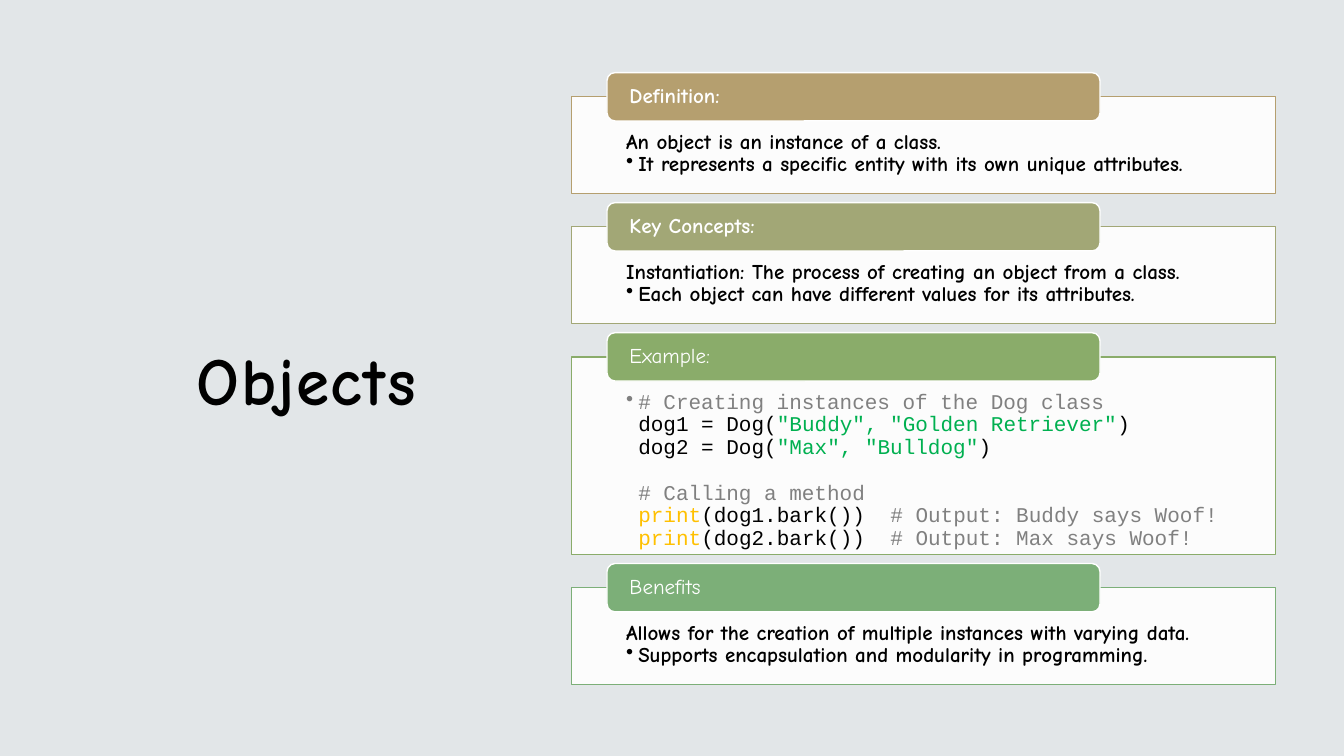
from copy import deepcopy

from lxml import etree
from pptx import Presentation
from pptx import util as u
from pptx.dml.color import RGBColor
from pptx.enum import shapes, text
from pptx.oxml import ns

COLORS = {
    "background": "E2E6E8", "white": "FFFFFF", "black": "000000",
    "comment": "808080", "string": "00B050", "keyword": "FFC000",
    "definition": "B59F6F", "concepts": "A2A776",
    "example": "8AAC6A", "benefits": "7CAF78",
}
PROSE = {"name": "Comic Neue", "size": u.Pt(15), "bold": True}
LIGHT = {**PROSE, "bold": False}
CODE = {"name": "Courier New", "size": u.Pt(15), "bold": False}
TITLE = {**PROSE, "size": u.Pt(48)}
BOX_LEFT, BOX_WIDTH, BOX_GAP = 5.67, 6.98, 0.33
TAG_LEFT, TAG_WIDTH, TAG_HEIGHT, TAG_RISE = 6.02, 4.89, 0.48, 0.24


def color(name):
    return RGBColor.from_string(COLORS[name])


def set_attributes(target, values):
    for name, value in values.items():
        setattr(target, name, value)


def set_frame(tf, margins, anchor):
    sides = ("margin_left", "margin_top", "margin_right", "margin_bottom")
    set_attributes(tf, dict(zip(sides, map(u.Inches, margins))))
    set_attributes(tf, {"word_wrap": True, "vertical_anchor": anchor})


def add_run(p, words, font, tint):
    r = p.add_run()
    r.text = words
    set_attributes(r.font, font)
    r.font.color.rgb = color(tint)
    return r


def add_lines(p, lines, font):
    for number, line in enumerate(lines):
        if number:
            p.add_line_break()
            p._p[-1].append(deepcopy(r._r.rPr))
        for words, tint in line:
            r = add_run(p, words, font, tint)


def add_bullet(p):
    pPr = p._p.get_or_add_pPr()
    pPr.set("marL", str(u.Inches(0.12)))
    pPr.set("indent", str(u.Inches(-0.12)))
    etree.SubElement(pPr, ns.qn("a:buChar")).set("char", "•")


def add_block(s, kind, place, fill, line):
    sp = s.shapes.add_shape(kind, *map(u.Inches, place))
    sp.shadow.inherit = False
    sp.fill.solid()
    sp.fill.fore_color.rgb = color(fill)
    sp.line.color.rgb = color(line)
    sp.line.width = u.Pt(1)
    return sp


def add_box(s, top, height, tint, paragraphs, font):
    sp = add_block(s, shapes.MSO_SHAPE.RECTANGLE,
                   (BOX_LEFT, top, BOX_WIDTH, height), "white", tint)
    fill = sp._element.spPr.find(ns.qn("a:solidFill"))
    etree.SubElement(fill[0], ns.qn("a:alpha")).set("val", "90000")
    tf = sp.text_frame
    set_frame(tf, (0.54, 0.34, 0.54, 0.12), text.MSO_ANCHOR.TOP)
    for number, lines in enumerate(paragraphs):
        p = tf.add_paragraph() if number else tf.paragraphs[0]
        set_attributes(p, {"alignment": text.PP_ALIGN.LEFT,
                           "line_spacing": 0.9, "space_after": u.Pt(0)})
        if number == len(paragraphs) - 1:
            add_bullet(p)
        add_lines(p, lines, font)


def add_tag(s, top, tint, words, font):
    sp = add_block(s, shapes.MSO_SHAPE.ROUNDED_RECTANGLE,
                   (TAG_LEFT, top, TAG_WIDTH, TAG_HEIGHT), tint, "white")
    set_frame(sp.text_frame, (0.2, 0, 0.2, 0), text.MSO_ANCHOR.MIDDLE)
    p = sp.text_frame.paragraphs[0]
    set_attributes(p, {"alignment": text.PP_ALIGN.LEFT, "line_spacing": 0.9})
    add_run(p, words, font, "white")


def add_title(s, words):
    sp = s.shapes.add_textbox(*map(u.Inches, (0.97, 1.07, 4.14, 5.37)))
    set_frame(sp.text_frame, (0.1, 0.05, 0.1, 0.05), text.MSO_ANCHOR.MIDDLE)
    p = sp.text_frame.paragraphs[0]
    p.alignment = text.PP_ALIGN.CENTER
    r = add_run(p, words, TITLE, "black")
    r._r.rPr.set("spc", "100")


def prose(*sentences):
    return [[[(sentence, "black")]] for sentence in sentences]


def creation(name, arguments):
    return [(f"{name} = Dog(", "black"), (arguments, "string"), (")", "black")]


def bark(name, output):
    return [("print", "keyword"), (f"({name}.bark())  ", "black"),
            (f"# Output: {output} says Woof!", "comment")]


def main():
    prs = Presentation()
    prs.slide_width, prs.slide_height = u.Inches(13.33), u.Inches(7.5)
    s = prs.slides.add_slide(prs.slide_layouts[6])
    s.background.fill.solid()
    s.background.fill.fore_color.rgb = color("background")
    add_title(s, "Objects")

    code = [
        [("# Creating instances of the Dog class", "comment")],
        creation("dog1", '"Buddy", "Golden Retriever"'),
        creation("dog2", '"Max", "Bulldog"'),
        [],
        [("# Calling a method", "comment")],
        bark("dog1", "Buddy"),
        bark("dog2", "Max"),
    ]
    sections = [
        ("Definition:", PROSE, "definition", 0.96, PROSE, prose(
            "An object is an instance of a class.",
            "It represents a specific entity with its own unique attributes.")),
        ("Key Concepts:", PROSE, "concepts", 0.96, PROSE, prose(
            "Instantiation: The process of creating an object from a class.",
            "Each object can have different values for its attributes.")),
        ("Example:", LIGHT, "example", 1.96, CODE, [code]),
        ("Benefits", LIGHT, "benefits", 0.96, PROSE, prose(
            "Allows for the creation of multiple instances with varying data.",
            "Supports encapsulation and modularity in programming.")),
    ]
    top = 0.96
    for heading, tag_font, tint, height, body_font, paragraphs in sections:
        add_box(s, top, height, tint, paragraphs, body_font)
        add_tag(s, top - TAG_RISE, tint, heading, tag_font)
        top += height + BOX_GAP
    prs.save("out.pptx")


if __name__ == "__main__":
    main()
